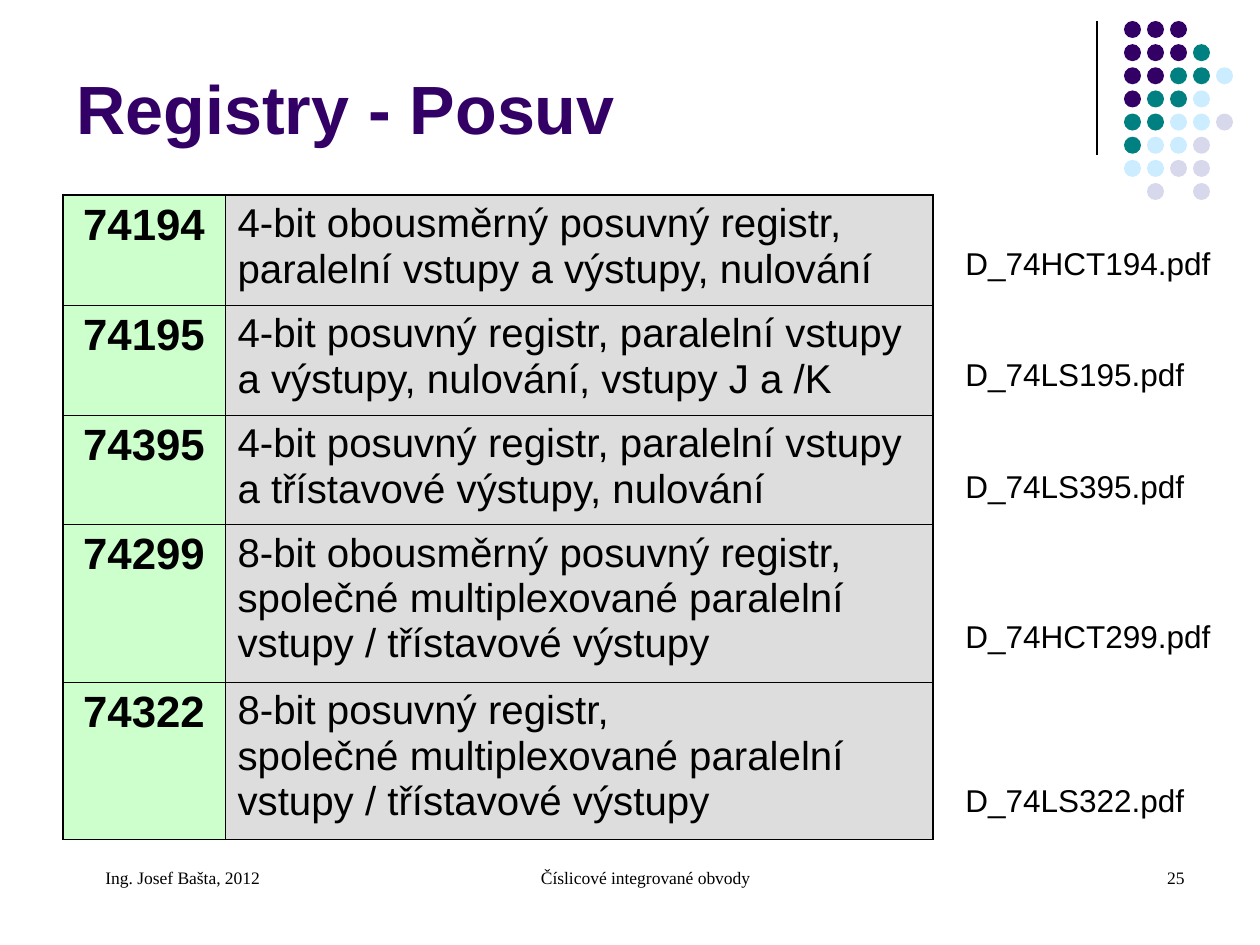
import pptx
import pptx.util
import pptx.dml.color
import pptx.enum.shapes
import pptx.enum.text
import pptx.oxml
import pptx.oxml.ns

EMU_PER_PX = 914400 / 126
COLORS = {
    "black": "000000",
    "purple": "330066",
    "teal": "008080",
    "sky": "CCECFF",
    "lavender": "D8D8EC",
    "green": "CCFFCC",
    "gray": "DDDDDD",
}
ALIGN = pptx.enum.text.PP_ALIGN
DOT_COLORS = {"P": "purple", "T": "teal", "S": "sky", "L": "lavender"}
DOT_ROWS = ["PPP", "PPPT", "PPTTS", "PTTS", "TTSSL", "TSSL", "SSLL", " L L"]
DOT_SIZE = 17

# part number, description, row height
REGISTERS = [
    ("74194", "4-bit obousměrný posuvný registr, paralelní vstupy a výstupy, nulování", 110),
    ("74195", "4-bit posuvný registr, paralelní vstupy a výstupy, nulování, vstupy J a /K", 110),
    ("74395", "4-bit posuvný registr, paralelní vstupy a třístavové výstupy, nulování", 109),
    ("74299", "8-bit obousměrný posuvný registr, společné multiplexované paralelní "
              "vstupy / třístavové výstupy", 158),
    ("74322", "8-bit posuvný registr,\vspolečné multiplexované paralelní "
              "vstupy / třístavové výstupy", 157),
]
# file name, top offset, width
DATASHEETS = [
    ("D_74HCT194.pdf", 0, 278),
    ("D_74LS195.pdf", 111, 263),
    ("D_74LS395.pdf", 223, 263),
    ("D_74HCT299.pdf", 373, 278),
    ("D_74LS322.pdf", 537, 263),
]
# text, left offset, width, alignment
FOOTER = [
    ("Ing. Josef Bašta, 2012", 0, 294, ALIGN.LEFT),
    ("Číslicové integrované obvody", 368, 399, ALIGN.CENTER),
    ("25", 840, 294, ALIGN.RIGHT),
]


def px(length):
    return pptx.util.Emu(round(length * EMU_PER_PX))


def rgb(name):
    return pptx.dml.color.RGBColor.from_string(COLORS[name])


def write(text_frame, text, size, font="Arial", color="black", bold=False, align=ALIGN.LEFT):
    text_frame.text = text
    paragraph = text_frame.paragraphs[0]
    paragraph.alignment = align
    for run in paragraph.runs:
        run.font.name = font
        run.font.size = pptx.util.Pt(size)
        run.font.bold = bold
        run.font.color.rgb = rgb(color)
    return paragraph


def add_text_box(slide, left, top, width, height):
    text_frame = slide.shapes.add_textbox(px(left), px(top), px(width), px(height)).text_frame
    text_frame.word_wrap = True
    return text_frame


def add_title(slide, left, top, width, height):
    text_frame = add_text_box(slide, left, top, width, height)
    text_frame.vertical_anchor = pptx.enum.text.MSO_ANCHOR.BOTTOM
    write(text_frame, "Registry - Posuv", 39, color="purple", bold=True)


def add_rule(slide, left, top, height):
    rule = slide.shapes.add_connector(
        pptx.enum.shapes.MSO_CONNECTOR.STRAIGHT, px(left), px(top), px(left), px(top + height))
    rule.line.color.rgb = rgb("black")
    rule.line.width = pptx.util.Pt(0.75)
    rule._element.spPr.append(pptx.oxml.parse_xml(
        f"<a:effectLst {pptx.oxml.ns.nsdecls('a')}/>"))


def add_dots(slide, left, top, width, height):
    group = slide.shapes.add_group_shape()
    column_pitch = (width - DOT_SIZE) / (max(map(len, DOT_ROWS)) - 1)
    row_pitch = (height - DOT_SIZE) / (len(DOT_ROWS) - 1)
    for row, codes in enumerate(DOT_ROWS):
        for column, code in enumerate(codes):
            if code == " ":
                continue
            dot = group.shapes.add_shape(
                pptx.enum.shapes.MSO_SHAPE.OVAL,
                px(left + column * column_pitch), px(top + row * row_pitch),
                px(DOT_SIZE), px(DOT_SIZE))
            dot.shadow.inherit = False
            dot.fill.solid()
            dot.fill.fore_color.rgb = rgb(DOT_COLORS[code])
            dot.line.fill.background()


def set_borders(cell, outer_sides):
    """Draw all four borders, with a heavier line on the table's outer sides."""
    properties = cell._tc.get_or_add_tcPr()
    for side in "LRTB":
        width = pptx.util.Pt(1.08 if side in outer_sides else 0.45)
        properties.append(pptx.oxml.parse_xml(
            f"<a:ln{side} {pptx.oxml.ns.nsdecls('a')} w='{width}'><a:solidFill>"
            f"<a:srgbClr val='{COLORS['black']}'/></a:solidFill></a:ln{side}>"))


def add_register_table(slide, left, top, width, number_width):
    height = sum(row_height for *_, row_height in REGISTERS)
    table = slide.shapes.add_table(
        len(REGISTERS), 2, px(left), px(top), px(width), px(height)).table
    table.first_row = table.horz_banding = False
    table.columns[0].width = px(number_width)
    table.columns[1].width = px(width - number_width)
    for index, (number, description, row_height) in enumerate(REGISTERS):
        table.rows[index].height = px(row_height)
        edges = {0: "T", len(REGISTERS) - 1: "B"}.get(index, "")
        number_cell, description_cell = table.rows[index].cells
        for cell, side, color in ((number_cell, "L", "green"), (description_cell, "R", "gray")):
            set_borders(cell, edges + side)
            cell.fill.solid()
            cell.fill.fore_color.rgb = rgb(color)
        write(number_cell.text_frame, number, 25, bold=True, align=ALIGN.CENTER)
        write(description_cell.text_frame, description, 23)


def add_datasheets(slide, left, top, height):
    for name, offset, width in DATASHEETS:
        text_frame = add_text_box(slide, left, top + offset, width, height)
        text_frame.auto_size = pptx.enum.text.MSO_AUTO_SIZE.SHAPE_TO_FIT_TEXT
        write(text_frame, name, 18)


def add_footer(slide, left, top, height):
    for text, offset, width, align in FOOTER:
        text_frame = add_text_box(slide, left + offset, top, width, height)
        paragraph = write(text_frame, text, 10, font="Times New Roman", align=align)
        paragraph._p.get_or_add_pPr().set("marL", str(px(30)))


def main():
    presentation = pptx.Presentation()
    presentation.slide_width = px(1260)
    presentation.slide_height = px(945)
    slide = presentation.slides.add_slide(presentation.slide_layouts[6])
    add_rule(slide, 1097, 21, 134)
    add_dots(slide, 1124, 21, 109, 179)
    add_title(slide, 64, 45, 1040, 109)
    add_register_table(slide, 63, 195, 870, 162)
    add_datasheets(slide, 953, 238, 50)
    add_footer(slide, 63, 861, 63)
    presentation.save("out.pptx")


if __name__ == "__main__":
    main()
